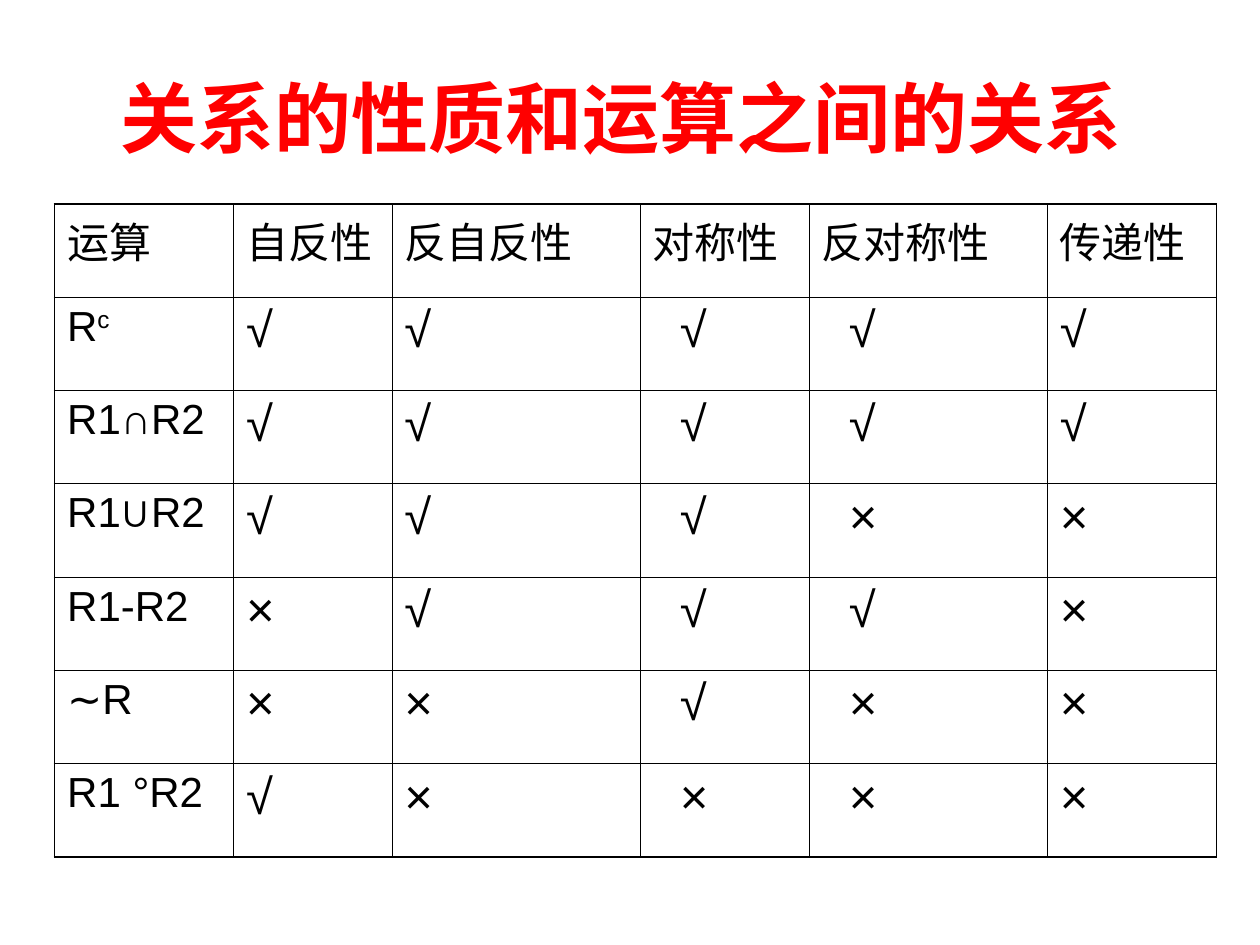
from typing import NamedTuple

from lxml.etree import SubElement
from pptx import Presentation
from pptx.dml.color import RGBColor
from pptx.enum.text import MSO_ANCHOR, PP_ALIGN
from pptx.oxml.ns import qn
from pptx.util import Cm, Pt

FONT = "Arial"
HUES = {"title": "FF0000", "ink": "000000", "paper": "FFFFFF"}
THIN, THICK = 0.45, 1.08
HIGH = 1.88


class Column(NamedTuple):
    name: str
    width: float
    indent: float = 0


class Law(NamedTuple):
    name: str
    marks: str
    power: str = ""


COLUMNS = [
    Column("运算", 3.61),
    Column("自反性", 3.19),
    Column("反自反性", 5.0),
    Column("对称性", 3.41, 0.55),
    Column("反对称性", 4.8, 0.55),
    Column("传递性", 3.41),
]
LAWS = [
    Law("R", "√√√√√", "c"),
    Law("R1∩R2", "√√√√√"),
    Law("R1∪R2", "√√√××"),
    Law("R1-R2", "×√√√×"),
    Law("∼R", "××√××"),
    Law("R1 °R2", "√××××"),
]


def add_run(para, text: str, size: float, hue: str = "ink", bold: bool = False):
    run = para.add_run()
    run.text = text
    run.font.name = FONT
    run.font.size = Pt(size)
    run.font.bold = bold
    run.font.color.rgb = RGBColor.from_string(HUES[hue])
    return run


def add_title(slide, text: str) -> None:
    box = slide.shapes.add_textbox(Cm(1.27), Cm(0.76), Cm(22.86), Cm(3.18))
    frame = box.text_frame
    frame.word_wrap = True
    frame.vertical_anchor = MSO_ANCHOR.MIDDLE
    para = frame.paragraphs[0]
    para.alignment = PP_ALIGN.CENTER
    add_run(para, text, 44, "title", True)


def style_cell(cell, row: int, col: int) -> None:
    """Rule all four sides, heavier on the table's outer edge, and fill."""
    outer = {
        "L": col == 0,
        "R": col == len(COLUMNS) - 1,
        "T": row == 0,
        "B": row == len(LAWS),
    }
    props = cell._tc.get_or_add_tcPr()
    for side, edge in outer.items():
        line = SubElement(props, qn(f"a:ln{side}"))
        line.set("w", str(Pt(THICK if edge else THIN)))
        fill = SubElement(line, qn("a:solidFill"))
        SubElement(fill, qn("a:srgbClr")).set("val", HUES["ink"])
    cell.fill.solid()
    cell.fill.fore_color.rgb = RGBColor.from_string(HUES["paper"])


def fill_row(table, row: int, law: Law) -> None:
    para = table.cell(row, 0).text_frame.paragraphs[0]
    add_run(para, law.name, 24)
    if law.power:
        run = add_run(para, law.power, 24)
        run.font._element.set("baseline", "30000")
    for col, mark in enumerate(law.marks, 1):
        para = table.cell(row, col).text_frame.paragraphs[0]
        if COLUMNS[col].indent:
            props = para._p.get_or_add_pPr()
            props.set("marL", str(Cm(COLUMNS[col].indent)))
        add_run(para, mark, 28)


def add_grid(slide) -> None:
    rows = len(LAWS) + 1
    width = sum(col.width for col in COLUMNS)
    table = slide.shapes.add_table(
        rows, len(COLUMNS), Cm(1.1), Cm(4.11), Cm(width), Cm(HIGH * rows)
    ).table
    table.first_row = table.horz_banding = False
    for row in range(rows):
        table.rows[row].height = Cm(HIGH)
        for col in range(len(COLUMNS)):
            style_cell(table.cell(row, col), row, col)
    for index, col in enumerate(COLUMNS):
        table.columns[index].width = Cm(col.width)
        add_run(table.cell(0, index).text_frame.paragraphs[0], col.name, 24)
    for row, law in enumerate(LAWS, 1):
        fill_row(table, row, law)


def main() -> None:
    deck = Presentation()
    deck.slide_width, deck.slide_height = Cm(25.4), Cm(19.05)
    slide = deck.slides.add_slide(deck.slide_layouts[6])
    add_title(slide, "关系的性质和运算之间的关系 ")
    add_grid(slide)
    deck.save("out.pptx")


if __name__ == "__main__":
    main()
